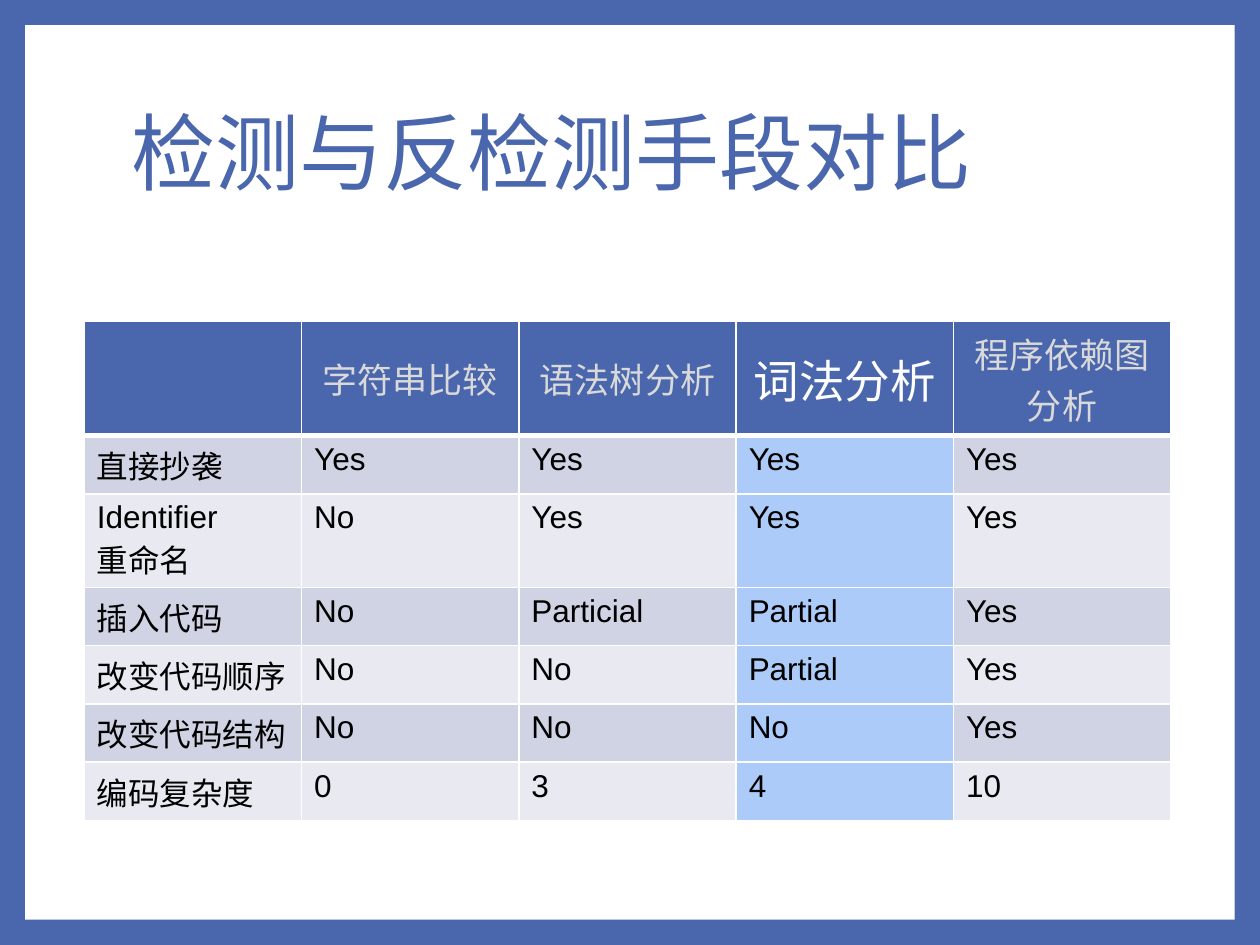
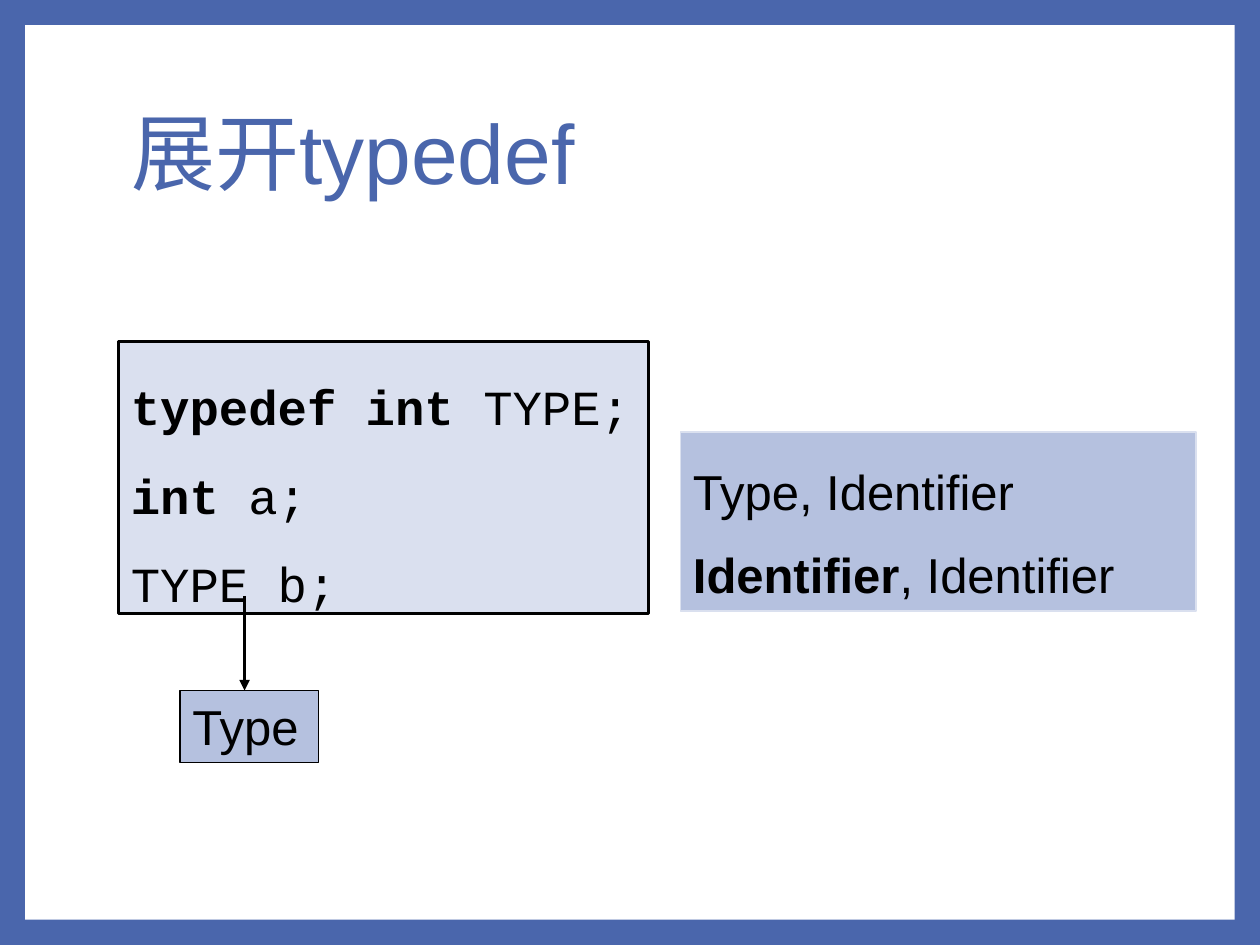
from lxml import etree
from pptx import Presentation
from pptx.dml.color import RGBColor
from pptx.enum.shapes import MSO_CONNECTOR, MSO_SHAPE
from pptx.enum.text import MSO_ANCHOR, MSO_AUTO_SIZE, PP_ALIGN
from pptx.oxml.ns import qn
from pptx.util import Cm, Pt

RECT, STRAIGHT = MSO_SHAPE.RECTANGLE, MSO_CONNECTOR.STRAIGHT
TOP, MIDDLE = MSO_ANCHOR.TOP, MSO_ANCHOR.MIDDLE
LEFT, CENTER = PP_ALIGN.LEFT, PP_ALIGN.CENTER
GROW, FIXED = MSO_AUTO_SIZE.SHAPE_TO_FIT_TEXT, MSO_AUTO_SIZE.NONE

# Theme
BLUE, WHITE, BLACK, GREY = "4A66AC", "FFFFFF", "000000", "D9D9D9"
BANDS, HIGHLIGHT = ("D0D3E3", "E9EAF1"), "ACCBF9"
PALE, SOFT = "DAE0EF", "B5C1DF"
SANS, MONO, CJK = "Arial", "Courier New", "Noto Sans CJK SC"

# Content: a paragraph is a list of (text, format) runs
COMPARE_TITLE = [[("检测与反检测手段对比", {})]]
METHODS = ["", "字符串比较", "语法树分析", "词法分析", "程序依赖图分析"]
CHOSEN = METHODS.index("词法分析")
RESULTS = [
    ["直接抄袭", "Yes", "Yes", "Yes", "Yes"],
    ["Identifier\n重命名", "No", "Yes", "Yes", "Yes"],
    ["插入代码", "No", "Particial", "Partial", "Yes"],
    ["改变代码顺序", "No", "No", "Partial", "Yes"],
    ["改变代码结构", "No", "No", "No", "Yes"],
    ["编码复杂度", "0", "3", "4", "10"],
]
BOLD = {"bold": True}
TYPEDEF_TITLE = [[("展开", {}), ("typedef", {"font": SANS})]]
CODE = [[("typedef int ", BOLD), ("TYPE;", {})],
        [("int", BOLD), (" a;", {})],
        [("TYPE b;", {})]]
TOKENS = [[("Type, Identifier", {})],
          [("Identifier", BOLD), (", Identifier", {})]]
RESOLVED = [[("Type", {})]]


def rgb(value):
    return RGBColor.from_string(value)


def plain(text):
    return [[(line, {})] for line in text.split("\n")]


def write(tf, paragraphs, size=18, font=SANS, color=BLACK, align=LEFT, spacing=1.0):
    for i, runs in enumerate(paragraphs):
        p = tf.add_paragraph() if i else tf.paragraphs[0]
        p.alignment, p.line_spacing = align, spacing
        for text, fmt in runs:
            r = p.add_run()
            r.text = text
            r.font.size, r.font.color.rgb = Pt(size), rgb(color)
            r.font.name = fmt.get("font", font)
            r.font.bold = fmt.get("bold", False)
            etree.SubElement(r._r.get_or_add_rPr(), qn("a:ea"), typeface=CJK)


def add_box(shapes, at, fill, line=None, width=0.75):
    sp = shapes.add_shape(RECT, *map(Cm, at))
    sp.shadow.inherit = False
    sp.fill.solid()
    sp.fill.fore_color.rgb = rgb(fill)
    if line:
        sp.line.color.rgb, sp.line.width = rgb(line), Pt(width)
    else:
        sp.line.fill.background()
    return sp


def add_text_box(shapes, at, paragraphs, fill, line, width=0.75, **fmt):
    tf = add_box(shapes, at, fill, line, width).text_frame
    tf.word_wrap, tf.auto_size, tf.vertical_anchor = True, GROW, TOP
    write(tf, paragraphs, size=28, **fmt)


def add_arrow(shapes, x1, y1, x2, y2):
    arrow = shapes.add_connector(STRAIGHT, Cm(x1), Cm(y1), Cm(x2), Cm(y2))
    arrow.line.color.rgb, arrow.line.width = rgb(BLACK), Pt(2)
    spPr = arrow._element.spPr
    etree.SubElement(spPr.find(qn("a:ln")), qn("a:tailEnd"), type="triangle")
    etree.SubElement(spPr, qn("a:effectLst"))


def fill_cell(cell, color, bottom=1):
    tcPr = cell._tc.get_or_add_tcPr()
    for side, width in (("L", 1), ("R", 1), ("T", 1), ("B", bottom)):
        ln = etree.SubElement(tcPr, qn(f"a:ln{side}"), w=str(int(Pt(width))))
        solid = etree.SubElement(ln, qn("a:solidFill"))
        etree.SubElement(solid, qn("a:srgbClr"), val=WHITE)
    cell.fill.solid()
    cell.fill.fore_color.rgb = rgb(color)


def add_slide(prs, title):
    s = prs.slides.add_slide(prs.slide_layouts[5])
    sp = s.shapes.title
    sp.left, sp.top, sp.width, sp.height = map(Cm, (2.39, 1.42, 20.57, 3.51))
    tf = sp.text_frame
    tf.word_wrap, tf.auto_size, tf.vertical_anchor = True, FIXED, MIDDLE
    write(tf, title, size=48, font=CJK, color=BLUE, spacing=0.9)
    return s


def add_frame(prs, s):
    """Blue background and white panel, kept on the master."""
    master = prs.slide_master
    master.background.fill.solid()
    master.background.fill.fore_color.rgb = rgb(BLUE)
    panel = add_box(s.shapes, (0.51, 0.51, 24.38, 18.03), WHITE)
    master.shapes._spTree.insert(2, panel._element)


def add_comparison(s):
    col_width, heights = 4.38, [1.8, 1.07, 1.8] + [1.07] * 4
    table = s.shapes.add_table(
        len(heights), len(METHODS), Cm(1.7), Cm(6.48),
        Cm(col_width * len(METHODS)), Cm(sum(heights))).table
    for col in table.columns:
        col.width = Cm(col_width)
    for row, height in zip(table.rows, heights):
        row.height = Cm(height)

    # Header row
    for c, method in enumerate(METHODS):
        cell = table.cell(0, c)
        fill_cell(cell, BLUE, bottom=3)
        cell.vertical_anchor = MIDDLE
        size, color = (26, WHITE) if c == CHOSEN else (20, GREY)
        if method:
            write(cell.text_frame, plain(method), size=size, color=color, align=CENTER)

    # Banded results with the chosen method highlighted
    for i, values in enumerate(RESULTS):
        for c, value in enumerate(values):
            cell = table.cell(i + 1, c)
            fill_cell(cell, HIGHLIGHT if c == CHOSEN else BANDS[i % 2])
            write(cell.text_frame, plain(value))


def add_typedef(s):
    add_text_box(s.shapes, (2.39, 6.88, 10.69, 5.49), CODE, PALE, BLACK, 1.5,
                 font=MONO, spacing=1.5)
    add_text_box(s.shapes, (13.72, 8.71, 10.39, 3.61), TOKENS, SOFT, PALE, spacing=1.4)
    # Arrow from the alias to the type it stands for
    group = s.shapes.add_group_shape()
    add_arrow(group.shapes, 4.93, 12.01, 4.93, 13.92)
    add_text_box(group.shapes, (3.63, 13.92, 2.79, 1.45), RESOLVED, SOFT, BLACK)


def main():
    prs = Presentation()
    prs.slide_width, prs.slide_height = Cm(25.4), Cm(19.05)
    s = add_slide(prs, COMPARE_TITLE)
    add_frame(prs, s)
    add_comparison(s)
    add_typedef(add_slide(prs, TYPEDEF_TITLE))
    prs.save("out.pptx")


if __name__ == "__main__":
    main()
